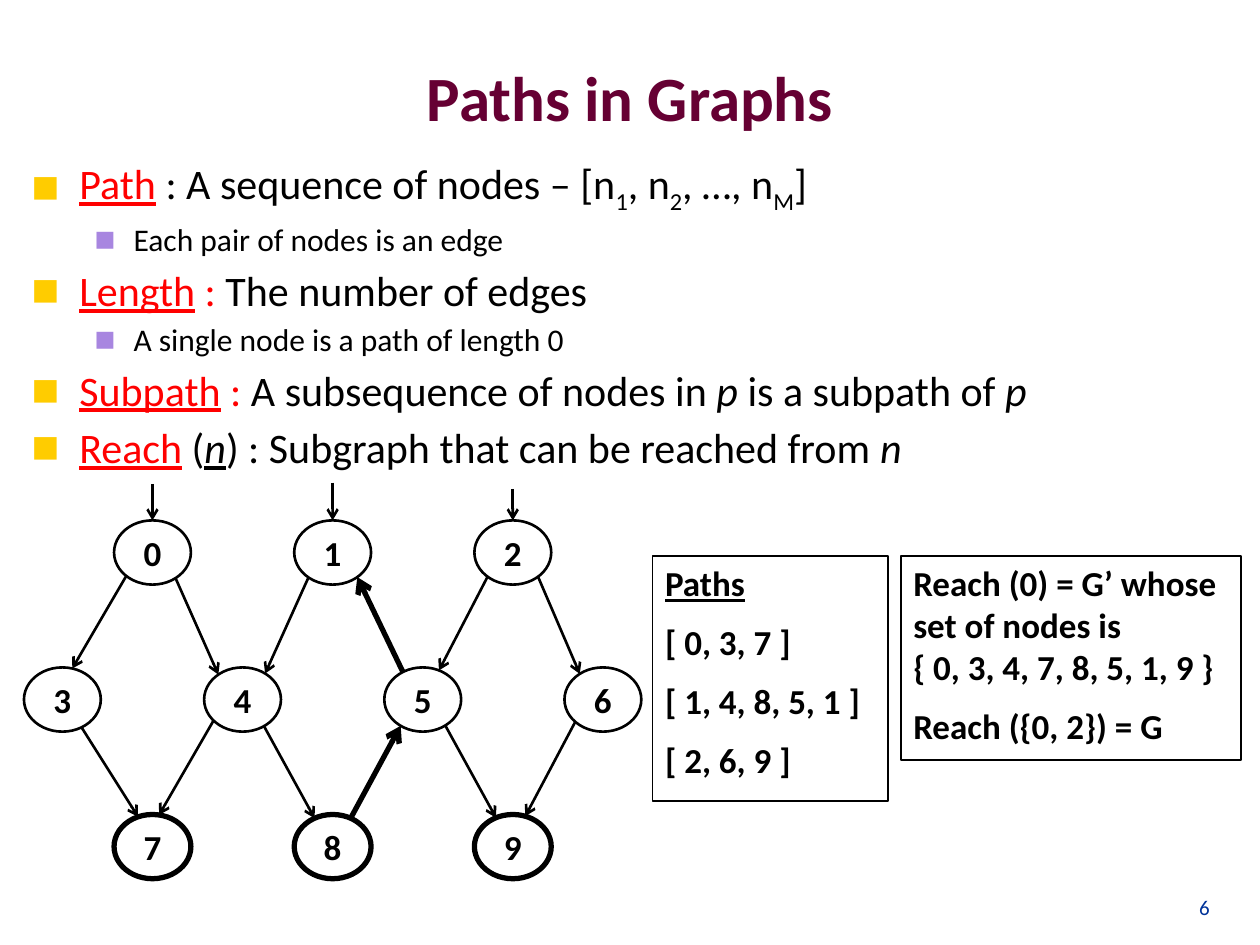
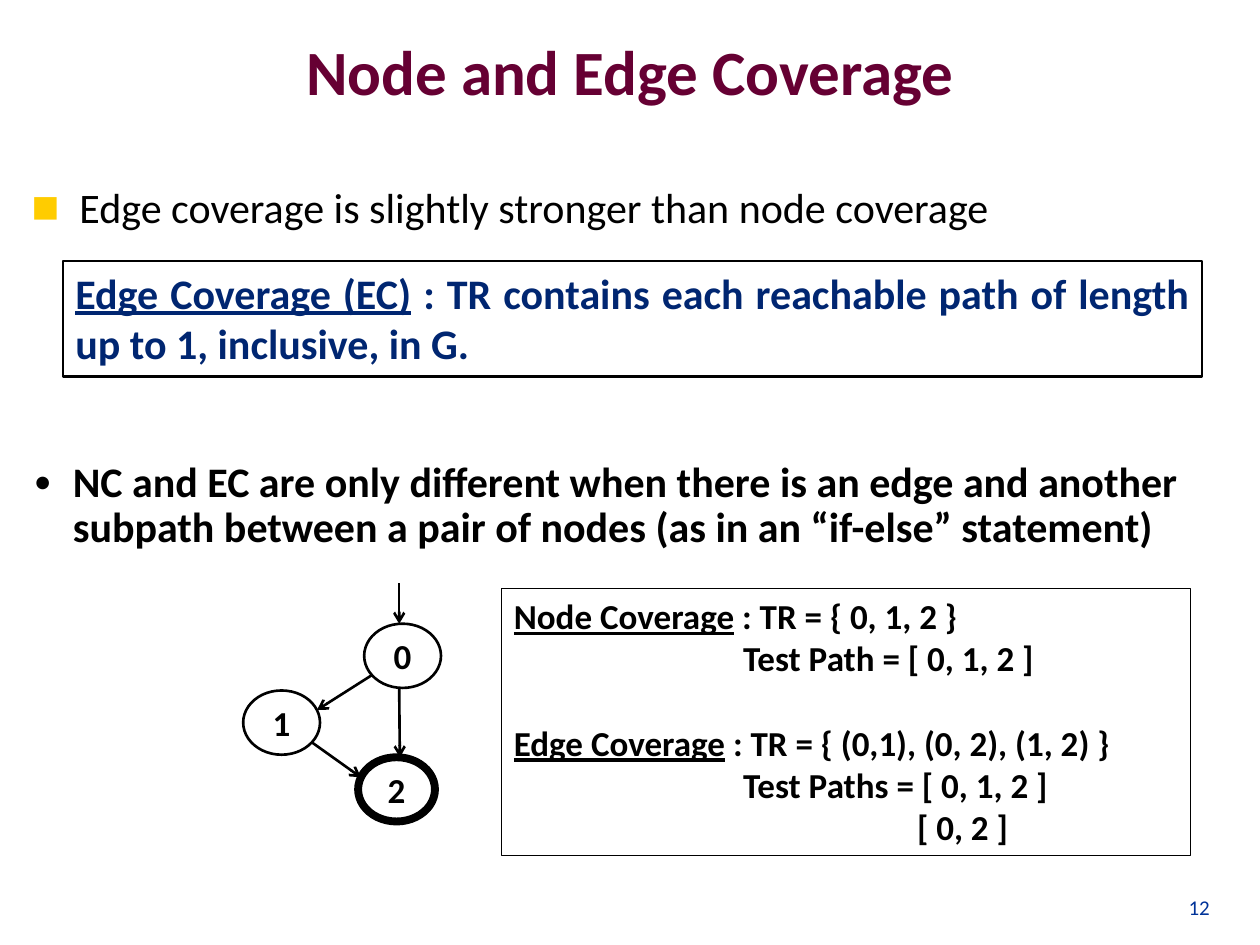
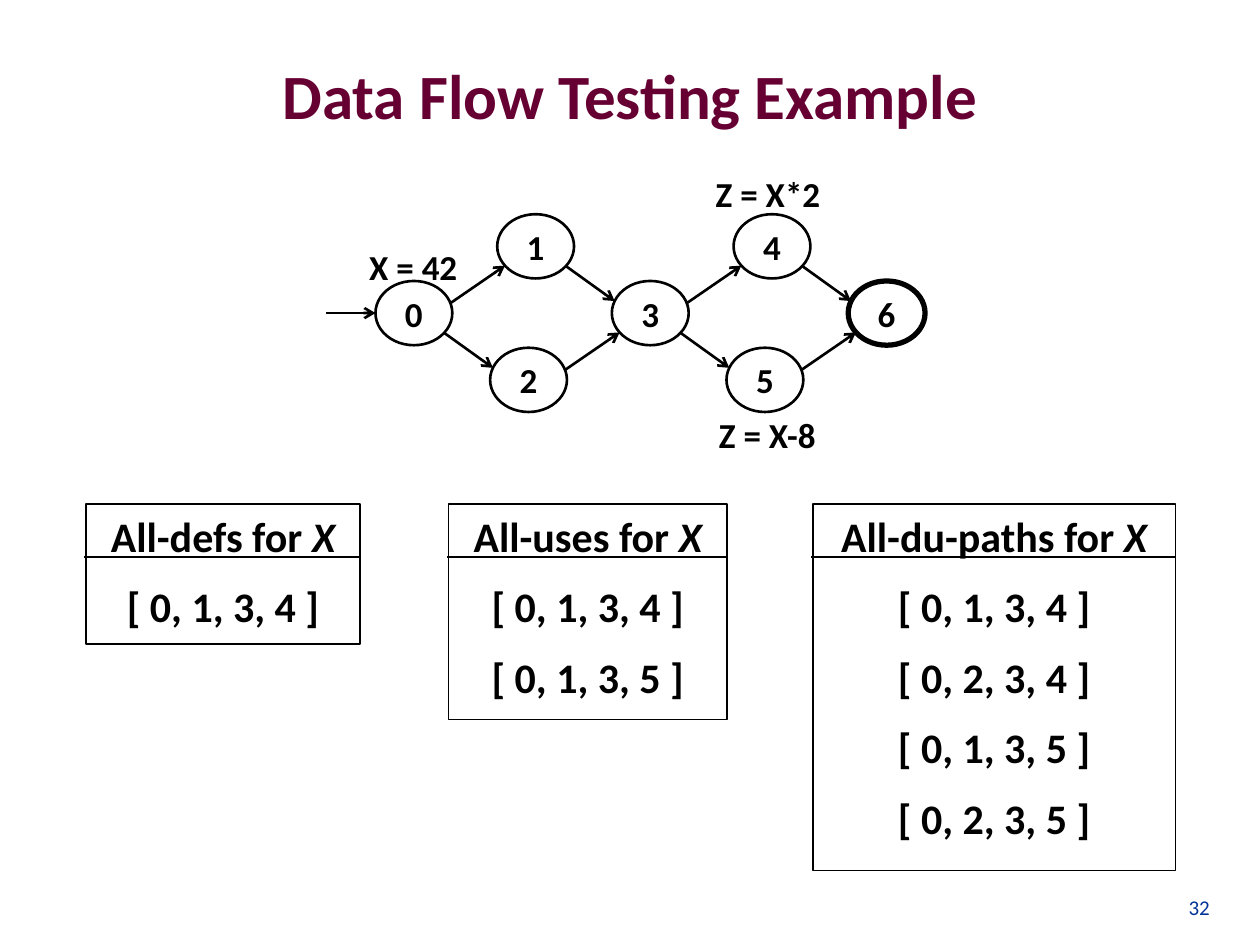
from math import cos, radians, sin

from lxml import etree
from pptx import Presentation
from pptx.dml.color import RGBColor
from pptx.enum.shapes import MSO_CONNECTOR, MSO_SHAPE
from pptx.enum.text import MSO_ANCHOR, MSO_AUTO_SIZE, PP_ALIGN
from pptx.oxml.ns import qn
from pptx.util import Inches, Pt

OVAL, RECTANGLE, STRAIGHT = MSO_SHAPE.OVAL, MSO_SHAPE.RECTANGLE, MSO_CONNECTOR.STRAIGHT
LEFT, CENTER, RIGHT, JUSTIFY = PP_ALIGN.LEFT, PP_ALIGN.CENTER, PP_ALIGN.RIGHT, PP_ALIGN.JUSTIFY
TOP, MIDDLE, BOTTOM = MSO_ANCHOR.TOP, MSO_ANCHOR.MIDDLE, MSO_ANCHOR.BOTTOM
NO_AUTOFIT = MSO_AUTO_SIZE.NONE

FONT = "Calibri"
BLACK, MAROON, RED, BLUE, NAVY = "000000", "660033", "FF0000", "003399", "002671"
GOLD, LILAC = "FFCC00", "A886E0"

# All places and sizes are in cells of a grid of 100 columns by 75 rows.
COLUMNS, ROWS = 100, 75
NODE_W, NODE_H = 6.1, 5.1
THIN, MEDIUM, THICK = 1, 1.5, 3
LIST_GAP, BOX_GAP = 0.16, 0.48  # space before a paragraph, as a share of its font size
BULLETS = [("■", GOLD, 70, 0.38, 0.38), ("■", LILAC, 70, 0.81, 0.31)]
DOT = ("•", BLACK, 85, 0.31, 0.31)

# Angles, clockwise from the right, at which an edge leaves one node and reaches the next.
RISING, FALLING = (342, 143), (38, 202)


def cells(*values):
    return [Inches(value / 10) for value in values]


def rgb(color):
    return RGBColor.from_string(color)


def indent(paragraph, left, hanging=0):
    properties = paragraph._p.get_or_add_pPr()
    properties.set("marL", str(Inches(left)))
    properties.set("indent", str(-Inches(hanging)))
    return properties


def add_bullet(paragraph, bullet):
    char, color, percent, left, hanging = bullet
    properties = indent(paragraph, left, hanging)
    bullet_color = etree.SubElement(properties, qn("a:buClr"))
    etree.SubElement(bullet_color, qn("a:srgbClr"), val=color)
    etree.SubElement(properties, qn("a:buSzPct"), val=str(percent * 1000))
    etree.SubElement(properties, qn("a:buFont"), typeface=FONT)
    etree.SubElement(properties, qn("a:buChar"), char=char)


def write_runs(paragraph, parts, size, color=BLACK, bold=False):
    """Parts are strings or (text, marks): r red, u underlined, i italic, s subscript."""
    font = paragraph.font
    font.name, font.size, font.bold = FONT, Pt(size), bold
    font.color.rgb = rgb(color)
    for part in [parts] if isinstance(parts, str) else parts:
        text, marks = (part, "") if isinstance(part, str) else part
        if text == "\n":
            paragraph.add_line_break()
            continue
        run = paragraph.add_run()
        run.text = text
        if "r" in marks:
            run.font.color.rgb = rgb(RED)
        if "u" in marks:
            run.font.underline = True
        if "i" in marks:
            run.font.italic = True
        if "s" in marks:
            run._r.get_or_add_rPr().set("baseline", "-25000")


def write(frame, lines, size, color=BLACK, bold=True, align=LEFT, anchor=TOP,
          gap=BOX_GAP, bullets=None):
    """Write one paragraph a line; bullets, if given, holds one bullet a line."""
    frame.word_wrap = True
    frame.auto_size = NO_AUTOFIT
    frame.vertical_anchor = anchor
    sizes = size if isinstance(size, list) else [size] * len(lines)
    for index, (parts, points) in enumerate(zip(lines, sizes)):
        paragraph = frame.add_paragraph() if index else frame.paragraphs[0]
        paragraph.alignment = align
        paragraph.space_before = Pt(round(gap * points, 1) if index else 0)
        if bullets:
            add_bullet(paragraph, bullets[index])
        write_runs(paragraph, parts, points, color, bold)


def move(placeholder, place):
    placeholder.left, placeholder.top, placeholder.width, placeholder.height = cells(*place)


def add_slide(deck, layout, title, title_place, number):
    slide = deck.slides.add_slide(deck.slide_layouts.get_by_name(layout))
    move(slide.shapes.title, title_place)
    write(slide.shapes.title.text_frame, [title], 36, MAROON, align=CENTER, anchor=MIDDLE)
    add_label(slide, (90.1, 68.3, 6.9, 5.2), number, 12, color=BLUE, bold=False,
              align=RIGHT, anchor=BOTTOM)
    return slide


def add_list(slide, place, items):
    """Items are (level, parts)."""
    body = slide.placeholders[1]
    move(body, place)
    write(body.text_frame, [parts for _, parts in items],
          [(24, 18)[level] for level, _ in items], bold=False, gap=LIST_GAP,
          bullets=[BULLETS[level] for level, _ in items])


def add_label(slide, place, parts, size=20, **style):
    label = slide.shapes.add_textbox(*cells(*place))
    write(label.text_frame, [parts], size, **style)
    return label


def add_outline(slide, kind, place, weight):
    outline = slide.shapes.add_shape(kind, *cells(*place))
    outline.shadow.inherit = False
    outline.fill.background()
    outline.line.color.rgb = rgb(BLACK)
    outline.line.width = Pt(weight)
    return outline


def add_box(slide, place, lines, size=20, weight=THIN, **style):
    frame = add_outline(slide, RECTANGLE, place, weight).text_frame
    write(frame, lines, size, **style)
    return frame


def add_line(slide, start, end, weight=MEDIUM, arrow=True):
    line = slide.shapes.add_connector(STRAIGHT, *cells(*start, *end))
    line.line.color.rgb = rgb(BLACK)
    line.line.width = Pt(weight)
    if arrow:
        etree.SubElement(line.line._get_or_add_ln(), qn("a:tailEnd"), type="arrow")
    etree.SubElement(line._element.spPr, qn("a:effectLst"))


class Graph:
    """Nodes on a grid whose first node centre is at origin; places are (column, row)."""

    def __init__(self, slide, origin, step, places, finals, final_weight=THICK):
        self.slide = slide
        self.centres = {}
        for name, (column, row) in places.items():
            x, y = origin[0] + column * step[0], origin[1] + row * step[1]
            self.centres[name] = x, y
            node = add_outline(slide, OVAL, (x - NODE_W / 2, y - NODE_H / 2, NODE_W, NODE_H),
                               final_weight if name in finals else MEDIUM)
            frame = node.text_frame
            frame.margin_left = frame.margin_right = frame.margin_top = frame.margin_bottom = 0
            write(frame, [str(name)], 20, align=CENTER, anchor=MIDDLE)

    def rim(self, name, angle):
        x, y = self.centres[name]
        return x + NODE_W / 2 * cos(radians(angle)), y + NODE_H / 2 * sin(radians(angle))

    def edge(self, source, target, leave, reach, weight=MEDIUM):
        add_line(self.slide, self.rim(source, leave), self.rim(target, reach), weight)

    def entry(self, name, right=0, down=0, angle=270):
        x, y = self.rim(name, angle)
        add_line(self.slide, (x - right, y - down), (x, y))


def add_path_set(slide, left, width, heading, paths, height):
    top = 40
    add_box(slide, (left, top, width, height), [[heading, ("X", "i")], *paths], 24, align=CENTER)
    add_line(slide, (left - 0.1, top + 4.2), (left + width, top + 4.2), arrow=False)


def build_paths(deck):
    slide = add_slide(deck, "Title and Content", "Paths in Graphs", (5, 1.4, 90, 12.5), "6")
    add_list(slide, (1.5, 12, 97, 27.6), [
        (0, [("Path", "ru"), " : A sequence of nodes – [n", ("1", "s"), ", n", ("2", "s"),
             ", …, n", ("M", "s"), "]"]),
        (1, "Each pair of nodes is an edge"),
        (0, [("Length", "ru"), (" : ", "r"), "The number of edges"]),
        (1, "A single node is a path of length 0"),
        (0, [("Subpath", "ru"), (" :", "r"), " A subsequence of nodes in ", ("p", "i"),
             " is a subpath of ", ("p", "i")]),
        (0, [("Reach", "ru"), " (", ("n", "iu"), ") : Subgraph that can be reached from ",
             ("n", "i")]),
    ])
    rows = [(0, 1, 2), (3, 4, 5, 6), (7, 8, 9)]
    places = {name: (2 * index + (row != 1), row)
              for row, names in enumerate(rows) for index, name in enumerate(names)}
    graph = Graph(slide, (4.95, 43.85), (7.15, 11.67), places, finals=rows[2])
    for name, length in zip(rows[0], (2.9, 3, 2.5)):
        graph.entry(name, down=length)
    for source, target, leave, reach in [
            (0, 3, 133, 285), (0, 4, 53, 231), (1, 4, 129, 306), (2, 5, 131, 295),
            (2, 6, 49, 233), (3, 7, 60, 248), (4, 7, 139, 280), (4, 8, 56, 242),
            (5, 9, 54, 244), (6, 9, 136, 289)]:
        graph.edge(source, target, leave, reach)
    graph.edge(5, 1, 239, 50, THICK)
    graph.edge(8, 5, 298, 125, THICK)
    add_box(slide, (51.8, 44.1, 18.7, 19.5),
            [[("Paths", "u")], "[ 0, 3, 7 ]", "[ 1, 4, 8, 5, 1 ]", "[ 2, 6, 9 ]"])
    add_box(slide, (71.5, 44.1, 27, 16.2),
            [["Reach (0) = G’ whose set of nodes is", "\n", "{ 0, 3, 4, 7, 8, 5, 1, 9 }"],
             "Reach ({0, 2}) = G"])


def build_coverage(deck):
    slide = add_slide(deck, "Title and Content", "Node and Edge Coverage",
                      (7.5, 1.1, 85, 9), "12")
    add_list(slide, (1.5, 13.9, 97, 5.2),
             [(0, "Edge coverage is slightly stronger than node coverage")])
    add_box(slide, (5, 20.7, 90.4, 9.2),
            [[("Edge Coverage (EC)", "u"),
              " : TR contains each reachable path of length up to 1, inclusive, in G."]],
            24, MEDIUM, color=NAVY, align=JUSTIFY)
    difference = add_label(
        slide, (1.7, 36.1, 97, 8.3),
        "NC and EC are only different when there is an edge and another subpath "
        "between a pair of nodes (as in an “if-else” statement)", 24, bullets=[DOT])
    difference.text_frame.paragraphs[0].line_spacing = 0.9

    frame = add_box(slide, (39.8, 46.7, 54.7, 21.2), [
        [("Node Coverage", "u"), " : TR = { 0, 1, 2 }"],
        "Test Path = [ 0, 1, 2 ]",
        [("Edge Coverage", "u"), " : TR = { (0,1), (0, 2), (1, 2) }"],
        "Test Paths = [ 0, 1, 2 ]",
        "[ 0, 2 ]",
    ], gap=0)
    for paragraph, left in zip(frame.paragraphs, (0, 1.82, 0, 1.82, 3.2)):
        indent(paragraph, left)
    frame.paragraphs[2].space_before = Pt(24.4)

    graph = Graph(slide, (22.35, 52.05), (9.6, 5.3), {0: (1, 0), 1: (0, 1), 2: (0.95, 2)},
                  finals=[2], final_weight=4.5)
    graph.entry(0, down=3.2, angle=265)
    graph.edge(0, 1, 143, 337)
    graph.edge(1, 2, *FALLING)
    graph.edge(0, 2, 95, 275)


def build_data_flow(deck):
    slide = add_slide(deck, "Title Only", "Data Flow Testing Example", (5, 1.2, 90, 12.5), "32")
    graph = Graph(slide, (32.85, 24.85), (9.38, 5.3),
                  {0: (0, 0), 1: (1.03, -1), 2: (0.97, 1), 3: (2, 0),
                   4: (3.03, -1), 5: (2.97, 1), 6: (4, 0)}, finals=[6])
    graph.entry(0, right=3.9, angle=180)
    for fork, upper, lower, join in [(0, 1, 2, 3), (3, 4, 5, 6)]:
        graph.edge(fork, upper, *RISING)
        graph.edge(upper, join, *FALLING)
        graph.edge(fork, lower, *FALLING)
        graph.edge(lower, join, *RISING)
    for place, statement in [((27.2, 19, 11.2, 4.3), "X = 42"),
                             ((54.4, 13.2, 13.1, 4.3), "Z = X*2"),
                             ((55.3, 32.3, 11.2, 4.3), "Z = X-8")]:
        add_label(slide, place, statement, align=CENTER)
    add_path_set(slide, 6.8, 21.8, "All-defs for ", ["[ 0, 1, 3, 4 ]"], 11.1)
    add_path_set(slide, 35.6, 22.1, "All-uses for ", ["[ 0, 1, 3, 4 ]", "[ 0, 1, 3, 5 ]"], 17.1)
    add_path_set(slide, 64.5, 28.8, "All-du-paths for ",
                 ["[ 0, 1, 3, 4 ]", "[ 0, 2, 3, 4 ]", "[ 0, 1, 3, 5 ]", "[ 0, 2, 3, 5 ]"], 29.1)


def main():
    deck = Presentation()
    deck.slide_width, deck.slide_height = cells(COLUMNS, ROWS)
    build_paths(deck)
    build_coverage(deck)
    build_data_flow(deck)
    deck.save("out.pptx")


if __name__ == "__main__":
    main()
